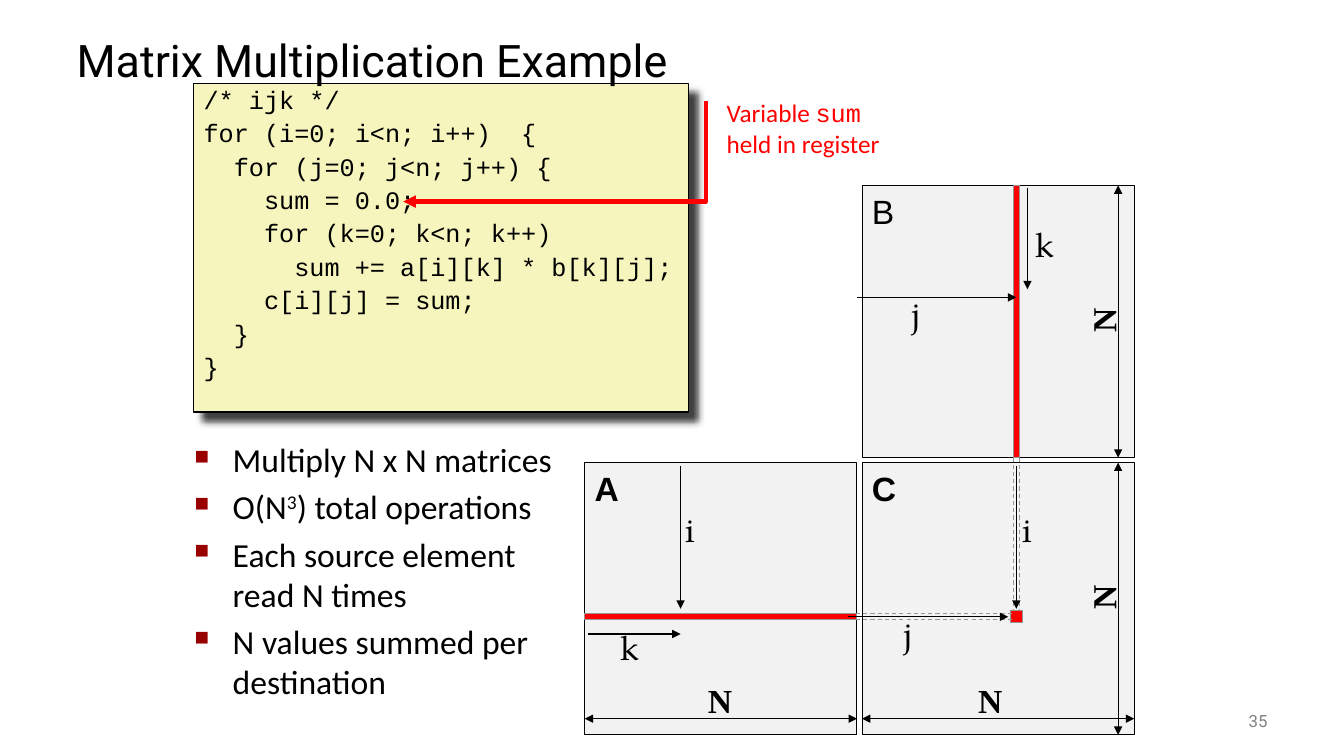
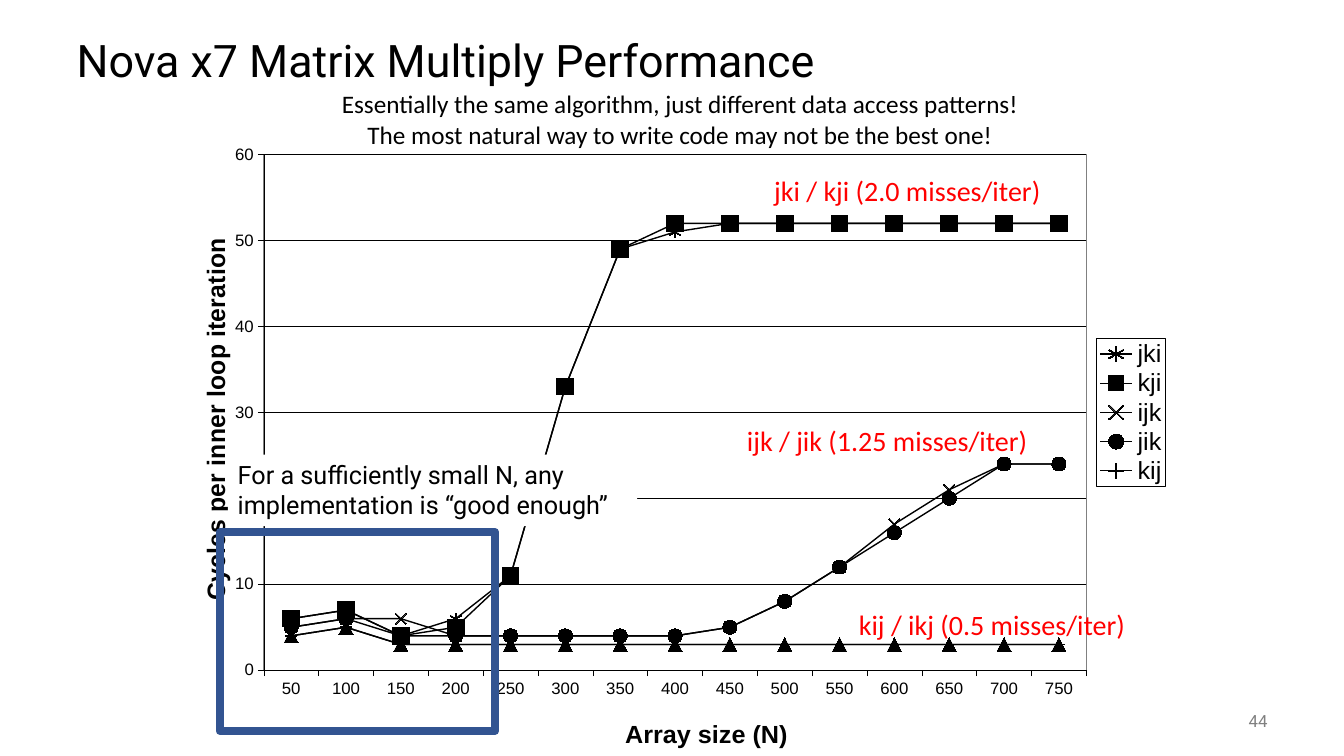
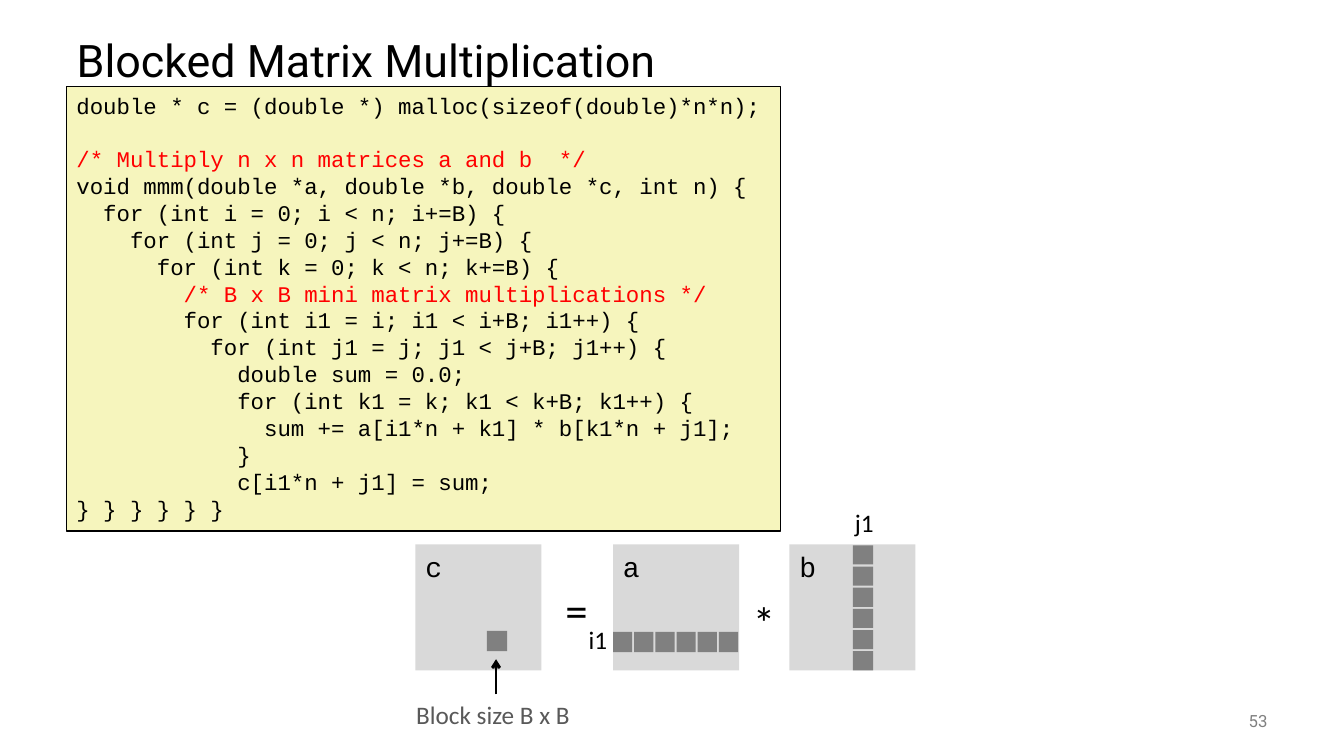
from lxml import etree
from pptx import Presentation
from pptx import util as u
from pptx.chart.data import CategoryChartData
from pptx.dml.color import RGBColor
from pptx.enum import chart as kinds
from pptx.enum import dml, shapes, text
from pptx.oxml import parse_xml
from pptx.oxml.ns import qn

BLACK = RGBColor(0, 0, 0)
WHITE = RGBColor(255, 255, 255)
RED = RGBColor(255, 0, 0)
CREAM = RGBColor(0xF6, 0xF5, 0xBD)
PALE = RGBColor(0xF2, 0xF2, 0xF2)
LIGHT = RGBColor(0xD9, 0xD9, 0xD9)
GREY = RGBColor(0x80, 0x80, 0x80)
EDGE = RGBColor(0x96, 0x96, 0x96)
DARK = RGBColor(0x59, 0x59, 0x59)
BLUE = RGBColor(0x32, 0x54, 0x91)
NS = 'xmlns:a="http://schemas.openxmlformats.org/drawingml/2006/main"'
LEFT, MID, RIGHT = text.PP_ALIGN.LEFT, text.PP_ALIGN.CENTER, text.PP_ALIGN.RIGHT
MARK = kinds.XL_MARKER_STYLE
SERIF = "TeX Gyre Pagella"

LOOP = """/* ijk */
for (i=0; i<n; i++)  {
  for (j=0; j<n; j++) {
    sum = 0.0;
    for (k=0; k<n; k++)
      sum += a[i][k] * b[k][j];
    c[i][j] = sum;
  }
}"""

BLOCK = """double * c = (double *) malloc(sizeof(double)*n*n);

/* Multiply n x n matrices a and b  */
void mmm(double *a, double *b, double *c, int n) {
  for (int i = 0; i < n; i+=B) {
    for (int j = 0; j < n; j+=B) {
      for (int k = 0; k < n; k+=B) {
        /* B x B mini matrix multiplications */
        for (int i1 = i; i1 < i+B; i1++) {
          for (int j1 = j; j1 < j+B; j1++) {
            double sum = 0.0;
            for (int k1 = k; k1 < k+B; k1++) {
              sum += a[i1*n + k1] * b[k1*n + j1];
            }
            c[i1*n + j1] = sum;
} } } } } }"""

CURVES = [
    ("jki", MARK.STAR, 8, [6, 7, 4, 6, 11, 33, 49, 51] + [52] * 7),
    ("kji", MARK.SQUARE, 12, [6, 7, 4, 5, 11, 33, 49] + [52] * 8),
    ("ijk", MARK.X, 8, [5, 6, 6, 4, 4, 4, 4, 4, 5, 8, 12, 17, 21, 24, 24]),
    ("jik", MARK.CIRCLE, 10, [5, 6, 4, 4, 4, 4, 4, 4, 5, 8, 12, 16, 20, 24, 24]),
    ("kij", MARK.PLUS, 8, [4, 5] + [3] * 13),
    ("ikj", MARK.TRIANGLE, 10, [4, 5] + [3] * 13),
]


def adapt(item, vals):
    for key, val in vals.items():
        setattr(item, key, val)


def style(font, size=18, name="Calibri", color=BLACK, bold=False):
    adapt(font, {"size": u.Pt(size), "name": name, "bold": bold})
    font.color.rgb = color


def stroke(line, color, width):
    line.color.rgb = color
    line.width = u.Pt(width)


def tips(line, *ends, kind="triangle"):
    node = line._get_or_add_ln()
    for end in ends:
        etree.SubElement(node, qn("a:" + end), type=kind)


def place(node, index, **spots):
    old = node.find(qn("c:layout"))
    if old is not None:
        node.remove(old)
    layout = etree.Element(qn("c:layout"))
    manual = etree.SubElement(layout, qn("c:manualLayout"))
    if index == 0:
        etree.SubElement(manual, qn("c:layoutTarget"), val="inner")
    for key in "xy":
        etree.SubElement(manual, qn(f"c:{key}Mode"), val="edge")
    for key, val in spots.items():
        etree.SubElement(manual, qn("c:" + key), val=str(val))
    node.insert(index, layout)


def frame(color):
    return parse_xml(
        f'<c:spPr xmlns:c="http://schemas.openxmlformats.org/drawingml/2006/chart" {NS}>'
        f'<a:solidFill><a:srgbClr val="{WHITE}"/></a:solidFill><a:ln w="9525"><a:solidFill>'
        f'<a:srgbClr val="{color}"/></a:solidFill></a:ln></c:spPr>')


class Deck:
    def __init__(self):
        self.file = Presentation()
        adapt(self.file, {"slide_width": u.Inches(13.33), "slide_height": u.Inches(7.5)})

    def start(self, number):
        self.slide = self.file.slides.add_slide(self.file.slide_layouts[5])
        self.items = self.slide.shapes
        self.box((11.67, 6.95, 1, 0.4), [str(number)], align=RIGHT, size=12,
                 name="Roboto", color=GREY, anchor=text.MSO_ANCHOR.MIDDLE)

    def title(self, words):
        item = self.items.title
        adapt(item, dict(zip(("left", "top", "width", "height"),
                             map(u.Inches, (0.66, 0.25, 12, 0.75)))))
        self.put(item, [words], size=32, name="Roboto", space=0.9,
                 anchor=text.MSO_ANCHOR.MIDDLE)
        self.items._spTree.append(item._element)

    def put(self, item, lines, align=LEFT, anchor=text.MSO_ANCHOR.TOP, wrap=True,
            inset=(0.1, 0.05, 0.1, 0.05), space=1, before=0, bullet=False, **look):
        body = item.text_frame
        adapt(body, {"word_wrap": wrap, "vertical_anchor": anchor,
                     "auto_size": text.MSO_AUTO_SIZE.NONE if wrap
                     else text.MSO_AUTO_SIZE.SHAPE_TO_FIT_TEXT})
        sides = ("margin_left", "margin_top", "margin_right", "margin_bottom")
        adapt(body, dict(zip(sides, map(u.Inches, inset))))
        for num, line in enumerate(lines):
            para = body.add_paragraph() if num else body.paragraphs[0]
            adapt(para, {"alignment": align, "line_spacing": space,
                         "space_before": u.Pt(before if num else 0)})
            if bullet:
                self.bullet(para)
            style(para.font, **look)
            for part in [(line, {})] if isinstance(line, str) else line:
                if part[0]:
                    run = para.add_run()
                    run.text = part[0]
                    extra = dict(part[1])
                    base = extra.pop("base", None)
                    style(run.font, **{**look, **extra})
                    if base:
                        run._r.get_or_add_rPr().set("baseline", base)

    def bullet(self, para):
        node = para._p.get_or_add_pPr()
        node.set("marL", str(u.Inches(0.38)))
        node.set("indent", str(u.Inches(-0.38)))
        color = etree.SubElement(node, qn("a:buClr"))
        etree.SubElement(color, qn("a:srgbClr"), val="990000")
        etree.SubElement(node, qn("a:buSzPct"), val="60000")
        etree.SubElement(node, qn("a:buChar"), char="■")

    def box(self, at, lines=(), fill=None, line=None, turn=0, **look):
        spot = [u.Inches(v) for v in at]
        if fill is None and line is None:
            item = self.items.add_textbox(*spot)
        else:
            item = self.items.add_shape(shapes.MSO_SHAPE.RECTANGLE, *spot)
            item.shadow.inherit = False
            if fill is None:
                item.fill.background()
            else:
                item.fill.solid()
                item.fill.fore_color.rgb = fill
            if line:
                stroke(item.line, *line)
            else:
                item.line.fill.background()
        item.rotation = turn
        if lines:
            self.put(item, lines, **look)
        return item

    def label(self, x, y, wide, high, words, **look):
        self.box((x, y, wide, high), [words], wrap=False, **look)

    def code(self, at, source, size, notes=BLACK, **look):
        lines = [[(row, {"color": notes if row.strip().startswith("/*") else BLACK})]
                 for row in source.split("\n")]
        return self.box(at, lines, CREAM, (BLACK, 1), size=size, name="Courier New", **look)

    def shade(self, item):
        old = item._element.spPr.find(qn("a:effectLst"))
        old.append(parse_xml(
            f'<a:outerShdw {NS} blurRad="63500" dist="107950" dir="2700000" algn="ctr" '
            'rotWithShape="0"><a:srgbClr val="000000"><a:alpha val="75000"/>'
            '</a:srgbClr></a:outerShdw>'))

    def line(self, x1, y1, x2, y2, color=BLACK, width=0.75, ends=("tailEnd",),
             kind="triangle", dash=False):
        item = self.items.add_connector(
            shapes.MSO_CONNECTOR.STRAIGHT, *map(u.Inches, (x1, y1, x2, y2)))
        stroke(item.line, color, width)
        if dash:
            item.line.dash_style = dml.MSO_LINE.DASH
        tips(item.line, *ends, kind=kind)
        etree.SubElement(item._element.spPr, qn("a:effectLst"))

    def curve(self, first, *bends):
        dots, last = [], first
        for one, two, end in bends:
            for step in range(1, 11):
                t = step / 10
                s = 1 - t
                dots.append([s**3 * a + 3 * s * s * t * b + 3 * s * t * t * c + t**3 * d
                             for a, b, c, d in zip(last, one, two, end)])
            last = end
        pen = self.items.build_freeform(*first, scale=u.Inches(1))
        pen.add_line_segments(dots, close=False)
        item = pen.convert_to_shape()
        item.shadow.inherit = False
        item.fill.background()
        stroke(item.line, RED, 3)
        tips(item.line, "tailEnd")

    def chart(self, at, cats, rows):
        data = CategoryChartData()
        data.categories = cats
        for name, _, _, vals in rows:
            data.add_series(name, vals)
        chart = self.items.add_chart(
            kinds.XL_CHART_TYPE.LINE_MARKERS, *map(u.Inches, at), data).chart
        adapt(chart, {"has_title": False, "has_legend": True})
        style(chart.font, 10, "Arial")
        chart.plots[0].vary_by_categories = False
        for row, (_, mark, size, _) in zip(chart.plots[0].series, rows):
            row.smooth = False
            stroke(row.format.line, BLACK, 1)
            adapt(row.marker, {"style": mark, "size": size})
            row.marker.format.fill.solid()
            row.marker.format.fill.fore_color.rgb = BLACK
            stroke(row.marker.format.line, BLACK, 0.75)
        adapt(chart.value_axis, {"minimum_scale": 0, "maximum_scale": 60, "major_unit": 10,
                                 "has_major_gridlines": True})
        stroke(chart.value_axis.major_gridlines.format.line, BLACK, 0.25)
        for axis, words, x, y, turn in (
                (chart.category_axis, "Array size (N)", 0.44, 0.95, 0),
                (chart.value_axis, "Cycles per inner loop iteration", 0.01, 0.18, -5400000)):
            axis.major_tick_mark = kinds.XL_TICK_MARK.OUTSIDE
            style(axis.tick_labels.font, 12, "Arial")
            stroke(axis.format.line, BLACK, 0.25)
            head = axis.axis_title
            run = head.text_frame.paragraphs[0].add_run()
            run.text = words
            style(run.font, 18, "Arial", bold=True)
            head.text_frame._txBody.find(qn("a:bodyPr")).set("rot", str(turn))
            place(head._element, 1, x=x, y=y)
        plot = chart._chartSpace.find(".//" + qn("c:plotArea"))
        place(plot, 0, x=0.08, y=0.04, w=0.83, h=0.84)
        plot.append(frame(GREY))
        key = chart.legend
        adapt(key, {"position": kinds.XL_LEGEND_POSITION.RIGHT, "include_in_layout": False})
        style(key.font, 18, "Arial")
        place(key._element, 1, x=0.92, y=0.34, w=0.07, h=0.24)
        key._element.find(qn("c:overlay")).addnext(frame(BLACK))


def example(deck):
    deck.start(35)
    side, west, east, north, south = 2.7, 5.8, 8.55, 1.84, 4.59
    for name, x, y in (("A", west, south), ("B", east, north), ("C", east, south)):
        deck.box((x, y, side, side), [name], PALE, (BLACK, 0.75),
                 size=24, name="Arial", bold=name != "B")
    rim = (EDGE, 0.75)
    deck.box((10.05, north, 0.06, side), fill=RED, line=rim)
    for x in (10.05, 10.11):
        deck.line(x, 4.54, x, 6.09, EDGE, ends=(), dash=True)
    deck.box((west, 6.09, side, 0.06), fill=RED, line=rim)
    deck.box((10.02, 6.06, 0.12, 0.12), fill=RED, line=rim)
    for y in (6.09, 6.15):
        deck.line(8.49, y, 10.04, y, EDGE, ends=(), dash=True)
    both = ("headEnd", "tailEnd")
    for x in (west, east):
        deck.line(x + side, 7.13, x, 7.13, width=0.5, ends=both)
    for y in (north, south):
        deck.line(11.09, y + side, 11.09, y, width=0.5, ends=both)
    for x, y, turn in ((10.82, 2.98, 270), (10.82, 5.73, 270), (7.02, 6.75, 0), (9.7, 6.75, 0)):
        deck.label(x, y, 0.24, 0.4, "N", turn=turn, inset=(0, 0, 0, 0), align=MID,
                   size=24, name="Times New Roman", bold=True)
    for name, arrow, x, y, wide in (
            ("i", (6.75, 4.62, 6.75, 6.04), 6.7, 5, 0.3),
            ("k", (5.83, 6.29, 6.75, 6.29), 6.06, 6.17, 0.39),
            ("k", (10.19, 1.87, 10.19, 2.87), 10.17, 2.17, 0.39),
            ("j", (8.5, 2.95, 10.08, 2.95), 8.95, 2.86, 0.28),
            ("i", (10.08, 4.62, 10.08, 6.04), 10.04, 5, 0.3),
            ("j", (8.41, 6.12, 10, 6.12), 8.87, 6.03, 0.28)):
        deck.line(*arrow)
        deck.label(x, y, wide, 0.51, name, size=24, name=SERIF)
    deck.shade(deck.code((1.92, 0.83, 4.91, 3.26), LOOP, 18, space=0.65, before=9.8,
                         inset=(0.1, 0.1, 0.1, 0.05)))
    deck.title("Matrix Multiplication Example")
    deck.box((1.83, 4.31, 3.98, 3.06), [
        "Multiply N x N matrices",
        [("O(N", {}), ("3", {"base": "30000"}), (") total operations", {})],
        "Each source element read N times",
        "N values summed per destination"], size=24, before=4.8, bullet=True)
    deck.box((7.11, 0.92, 1.74, 0.7), [
        [("Variable ", {}), ("sum", {"name": "Courier New"})], "held in register"],
        fill=WHITE, wrap=False, color=RED)
    deck.curve((7.16, 1.3), ((6.6, 1.6), (6.04, 1.9), (5.54, 2.02)),
               ((5.04, 2.14), (4.6, 2.08), (4.15, 2.03)))


def speed(deck):
    deck.start(44)
    deck.title("Nova x7 Matrix Multiply Performance")
    deck.chart((1.83, 1.29, 9.83, 6.21), [str(n) for n in range(50, 751, 50)], CURVES)
    for x, y, wide, words in ((7.58, 1.67, 2.98, "jki / kji (2.0 misses/iter)"),
                              (7.31, 4.15, 3.11, "ijk / jik (1.25 misses/iter)"),
                              (8.42, 5.98, 2.87, "kij / ikj (0.5 misses/iter)")):
        deck.label(x, y, wide, 0.44, words, size=20, color=RED)
    deck.box((3.18, 0.83, 7.13, 0.71), [
        "Essentially the same algorithm, just different data access patterns!",
        "The most natural way to write code may not be the best one!"], wrap=False, align=MID)
    deck.box((2.18, 5.28, 2.73, 1.97), line=(BLUE, 6))
    deck.box((2.26, 4.51, 4.06, 0.71),
             ["For a sufficiently small N, any implementation is “good enough”"],
             fill=WHITE, name="Roboto")


def blocked(deck):
    deck.start(53)
    deck.title("Blocked Matrix Multiplication")
    deck.code((0.66, 0.86, 7.08, 4.41), BLOCK, 16, RED)
    for name, x in (("c", 4.12), ("a", 6.08), ("b", 7.83)):
        deck.box((x, 5.4, 1.25, 1.25), [name], LIGHT, size=20, name="Courier New")
    for x, y, wide, high, words, size, color in (
            (5.74, 6.14, 0.39, 0.4, "i1", 18, BLACK),
            (8.38, 4.98, 0.39, 0.4, "j1", 18, BLACK),
            (7.37, 5.85, 0.43, 0.64, "*", 32, BLACK),
            (5.51, 5.73, 0.43, 0.64, "=", 32, BLACK),
            (4.03, 6.89, 1.78, 0.4, "Block size B x B", 18, DARK)):
        deck.label(x, y, wide, high, words, size=size, color=color)
    deck.box((4.83, 6.26, 0.2, 0.2), fill=GREY)
    deck.line(4.92, 6.89, 4.92, 6.54, width=2, kind="arrow")
    for num in range(6):
        gap = 0.21 * num
        deck.box((6.08 + gap, 6.27, 0.19, 0.2), fill=GREY)
        deck.box((8.46, 5.41 + gap, 0.2, 0.19), fill=GREY)


def main():
    deck = Deck()
    for build in (example, speed, blocked):
        build(deck)
    deck.file.save("out.pptx")


if __name__ == "__main__":
    main()
